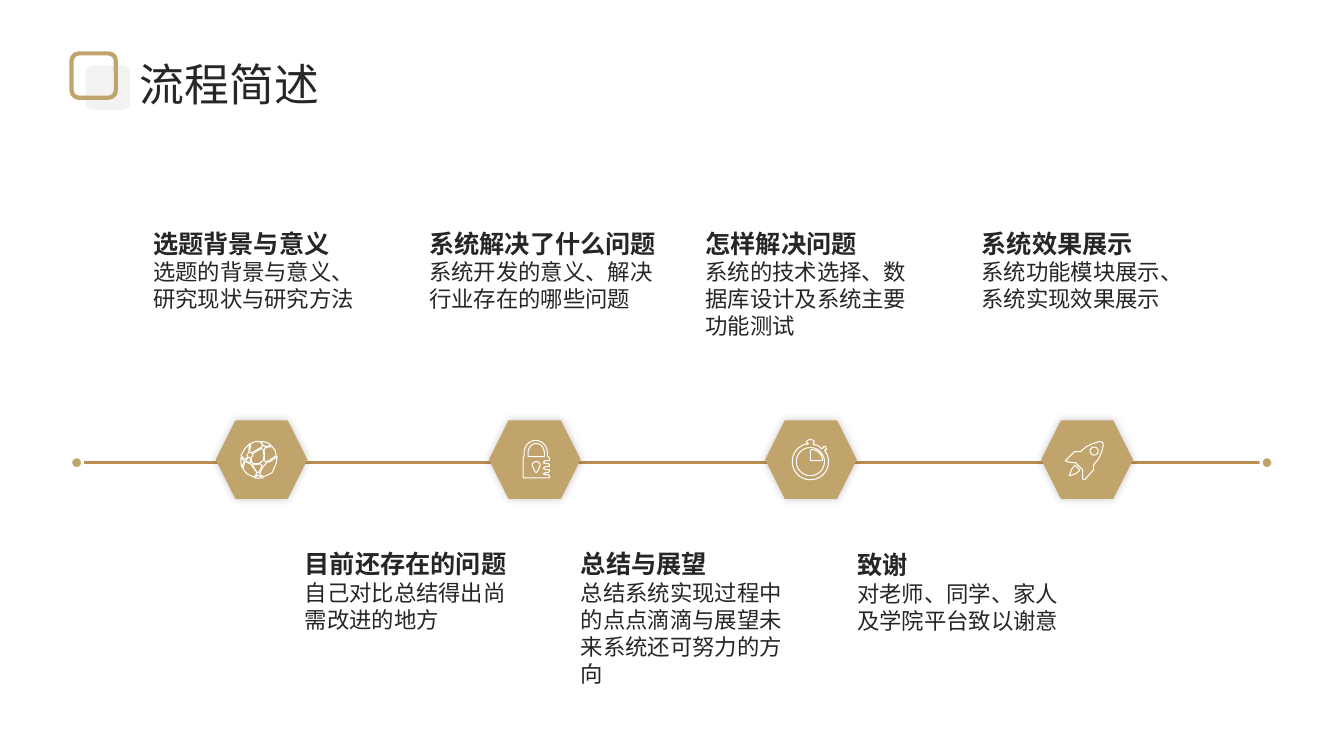
from math import cos, radians, sin

from lxml import etree
from pptx import Presentation, util as u
from pptx.dml.color import RGBColor
from pptx.enum import lang, shapes, text
from pptx.oxml.ns import qn

Pt = u.Pt
FONT = "Noto Sans CJK SC"
COLORS = {"gold": "C1A36C", "rail": "B98D50", "ink": "262626", "pale": "F2F2F2",
          "white": "FFFFFF", "shadow": "000000"}


def arc(center_x, center_y, radius_x, radius_y, start, end, steps=24):
    """Points along an ellipse; angles in degrees, clockwise from the right."""
    angles = [radians(start + (end - start) * i / steps) for i in range(steps + 1)]
    return [(center_x + radius_x * cos(a), center_y + radius_y * sin(a)) for a in angles]


# Content: heading, description, left, top, width
TITLE = "流程简述"
STEP = 197.28
TOPICS = [
    ("选题背景与意义", "选题的背景与意义、研究现状与研究方法", 102.24, 159.12, 166.32),
    ("系统解决了什么问题", "系统开发的意义、解决行业存在的哪些问题", 102.24 + STEP, 159.12, 181.44),
    ("怎样解决问题", "系统的技术选择、数据库设计及系统主要功能测试", 102.24 + 2 * STEP, 159.12, 166.32),
    ("系统效果展示", "系统功能模块展示、系统实现效果展示", 102.24 + 3 * STEP, 159.12, 166.32),
    ("目前还存在的问题", "自己对比总结得出尚需改进的地方", 210.6, 388.08, 166.32),
    ("总结与展望", "总结系统实现过程中的点点滴滴与展望未来系统还可努力的方向",
     210.6 + STEP, 388.08, 166.32),
    ("致谢", "对老师、同学、家人及学院平台致以谢意", 210.6 + 2 * STEP, 388.8, 166.32),
]

# Icons: each is a list of outlines, each outline a list of contours, in grid units
GRID = 0.72
GLOBE = [[cell] for cell in (
    [(11, 22), (10, 17), (8, 17), (6, 20), (6, 21)],
    [(17, 24), (13, 23), (13, 25), (17, 32), (19, 31), (19, 32), (22, 25), (20, 23)],
    [(24, 15), (23, 9), (21, 8), (13, 13), (12, 13), (13, 15), (11, 17), (12, 22),
     (13, 23), (17, 23), (20, 23), (20, 22), (23, 20)],
    [(4, 20), (1, 17), (1, 22), (2, 27), (4, 21)],
    [(16, 33), (17, 32), (12, 25), (11, 24), (10, 23), (6, 21), (5, 21), (3, 28),
     (7, 33), (13, 36), (17, 34)],
    [(19, 35), (17, 35), (14, 37), (18, 37.5), (23, 37), (21, 36)],
    [(37, 16), (30, 21), (26, 22), (26, 23), (23, 26), (20, 32), (20, 34), (22, 35),
     (24, 36), (32, 32), (36, 23)],
    [(25, 8), (24, 9), (24.5, 15), (24, 20), (26, 21), (29, 20), (36, 15), (35, 10),
     (32, 6), (25, 7)],
    [(24, 5), (25, 6), (31, 5), (28, 2.5), (23, 1), (21, 1), (23, 5)],
    [(11, 12), (12, 12), (21, 7), (23, 5), (20, 1), (15, 1), (11, 3), (10, 9), (10, 12)],
    [(5, 19), (8, 16), (7, 14), (9, 12), (9, 8), (10, 3), (5, 8), (1, 15)],
)]
LOCK = [[
    [(15, 29), (15, 30), (13, 32), (11, 30), (11, 29)] + arc(13, 25, 4, 4, -180, 0),
    arc(13, 12, 8, 9, -180, 0) + [(21, 16), (5, 16)],
    [(22, 34), (20, 33), (22, 32), (25, 32), (26, 31), (26, 29), (22, 29), (20, 27.5),
     (22, 26), (26, 26), (26, 24), (25, 23), (22, 23), (20, 22), (22, 20), (26, 20),
     (26, 17), (24, 15)] + arc(12.5, 12, 11.5, 12, 0, -180)
    + [(1, 15), (0, 17), (0, 37), (26, 37), (26, 35), (25, 34)],
]]
STOPWATCH = [
    [arc(19, 21, 11, 11, 0, -90) + [(18, 11), (18, 21)]],
    [arc(18, 22, 14, 14, 0, 360),
     [(32, 11), (33, 10), (34, 10), (33, 7), (31, 7), (31, 8), (30, 9), (29, 9),
      (25.5, 6), (21, 5), (21, 4), (22, 2), (20, 0.5), (18, 0), (16, 0.5), (14, 2),
      (15, 4), (16, 4), (15, 5)] + arc(18, 22, 18, 18, -100, -398, 40)],
]
ROCKET = [
    [[(10, 26), (9, 26), (6, 30), (4, 36), (10, 34), (14, 31), (14, 30)]],
    [arc(28.5, 11.5, 4, 4, 0, 360),
     [(28, 26), (28, 25), (33, 19), (36, 12), (37.5, 6), (37, 3), (34, 2), (27.5, 4),
      (21, 7), (15, 12), (11, 12), (9, 12), (0, 21), (1, 22), (7, 23), (10, 23),
      (17, 30), (17, 39), (19, 40), (28, 30)]],
]
# Milestones: hexagon left, icon, icon offset inside the hexagon
HEXAGON_TOP, HEXAGON_SIZE = 300.24, (65.52, 56.16)
MILESTONES = [(154.08, GLOBE, 17.28, 14.4), (349.2, LOCK, 24.48, 14.4),
              (546.48, STOPWATCH, 19.44, 13.68), (743.76, ROCKET, 17.28, 13.68)]

presentation = Presentation()
presentation.slide_width, presentation.slide_height = Pt(960), Pt(540)
slide = presentation.slides.add_slide(presentation.slide_layouts[6])


def rgb(name):
    return RGBColor.from_string(COLORS[name])


def paint(shape, fill=None, line=None, weight=0):
    shape.shadow.inherit = False
    if fill:
        shape.fill.solid()
        shape.fill.fore_color.rgb = rgb(fill)
    else:
        shape.fill.background()
    if line:
        shape.line.color.rgb = rgb(line)
        shape.line.width = Pt(weight)
    else:
        shape.line.fill.background()


def add_shape(kind, left, top, width, height, **look):
    shape = slide.shapes.add_shape(kind, Pt(left), Pt(top), Pt(width), Pt(height))
    paint(shape, **look)
    return shape


def add_glow(shape):
    effects = shape._element.spPr.find(qn("a:effectLst"))
    shadow = etree.SubElement(effects, qn("a:outerShdw"), blurRad=str(Pt(6)), dist="0",
                              dir="18900000", algn="ctr", rotWithShape="0")
    color = etree.SubElement(shadow, qn("a:srgbClr"), val=COLORS["shadow"])
    etree.SubElement(color, qn("a:alpha"), val="20000")


def add_outline(contours, left, top):
    fine = 100  # keeps fractions of a grid unit
    points = [[(x * fine, y * fine) for x, y in contour] for contour in contours]
    builder = slide.shapes.build_freeform(*points[0][0], scale=Pt(GRID) / fine)
    for index, contour in enumerate(points):
        if index:
            builder.move_to(*contour[0])
        builder.add_line_segments(contour[1:], close=True)
    paint(builder.convert_to_shape(Pt(left), Pt(top)), "gold", "white", 0.75)


def add_text(lines, left, top, width, height, wrap=True, align=None):
    frame = slide.shapes.add_textbox(Pt(left), Pt(top), Pt(width), Pt(height)).text_frame
    frame.word_wrap = wrap
    frame.auto_size = text.MSO_AUTO_SIZE.SHAPE_TO_FIT_TEXT
    for index, (words, size, bold) in enumerate(lines):
        paragraph = frame.add_paragraph() if index else frame.paragraphs[0]
        paragraph.alignment = align
        paragraph.line_spacing = Pt(size * 1.21)
        run = paragraph.add_run()
        run.text = words
        run.font.size, run.font.bold, run.font.name = Pt(size), bold, FONT
        run.font.color.rgb = rgb("ink")
        run.font.language_id = lang.MSO_LANGUAGE_ID.SIMPLIFIED_CHINESE
        etree.SubElement(run._r.get_or_add_rPr(), qn("a:ea"), typeface=FONT)


# Title with its two overlapping squares
SHAPE = shapes.MSO_SHAPE
add_shape(SHAPE.ROUNDED_RECTANGLE, 61.2, 46.8, 31.68, 31.68, fill="pale")
add_shape(SHAPE.ROUNDED_RECTANGLE, 51.12, 38.16, 31.68, 31.68, line="gold", weight=3)
add_text([(TITLE, 32, False)], 92.88, 36.72, 144, 46.08, False, text.PP_ALIGN.JUSTIFY)

# Timeline rail with end dots
rail = slide.shapes.add_connector(shapes.MSO_CONNECTOR.STRAIGHT,
                                  Pt(54.72), Pt(330.48), Pt(905.76), Pt(330.48))
rail.line.color.rgb = rgb("rail")
rail.line.width = Pt(2.25)
etree.SubElement(rail._element.spPr, qn("a:effectLst"))
for dot_left in (50.4, 900.72):
    add_shape(SHAPE.OVAL, dot_left, 326.16, 8.64, 8.64, fill="gold", line="white", weight=2.25)

# Milestone hexagons and icons
for left, icon, offset_x, offset_y in MILESTONES:
    add_glow(add_shape(SHAPE.HEXAGON, left, HEXAGON_TOP, *HEXAGON_SIZE, fill="gold"))
    for outline in icon:
        add_outline(outline, left + offset_x, HEXAGON_TOP + offset_y)

# Topic texts
for heading, description, left, top, width in TOPICS:
    add_text([(heading, 18, True), (description, 16, False)], left, top, width, 67.68)

presentation.save("out.pptx")
